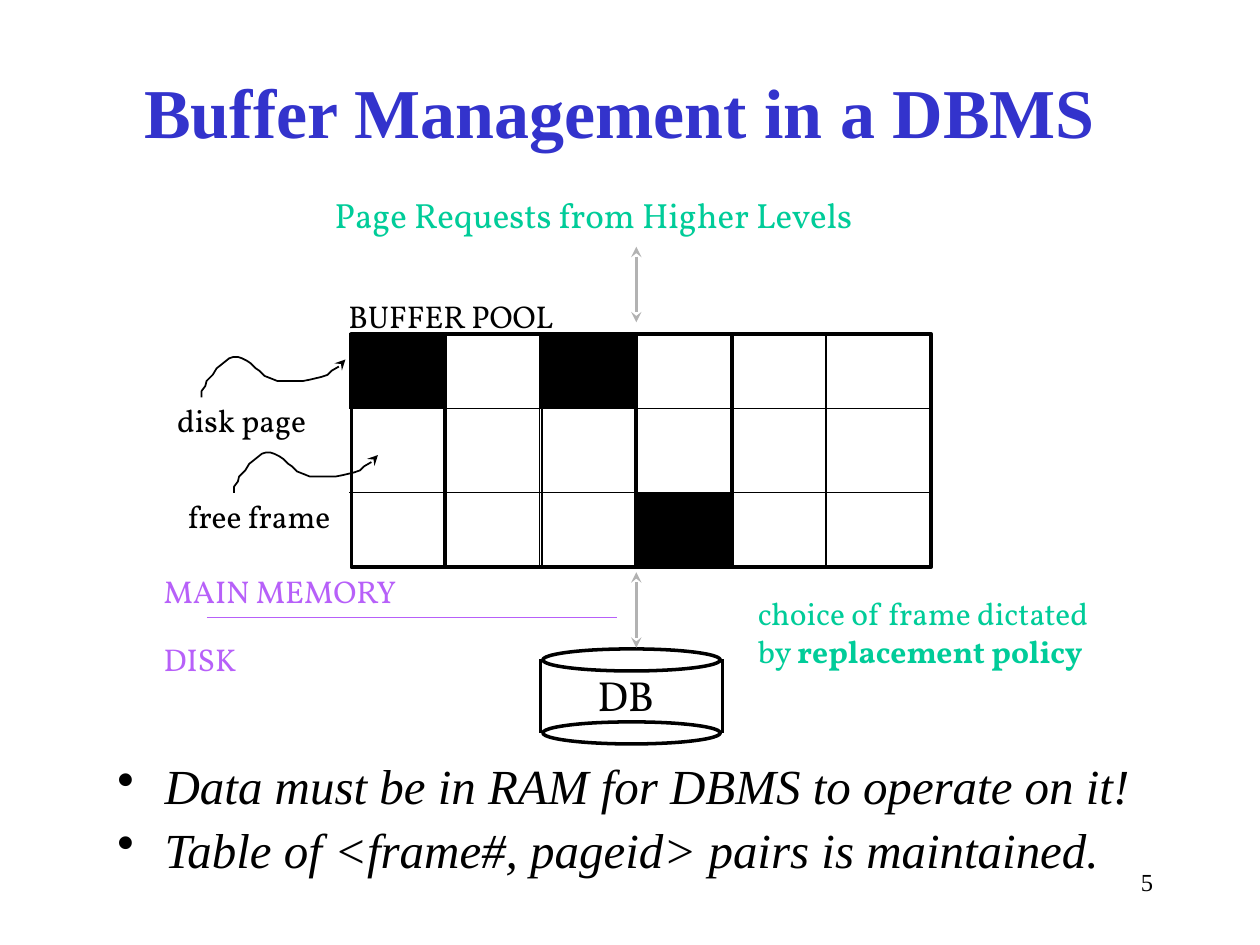
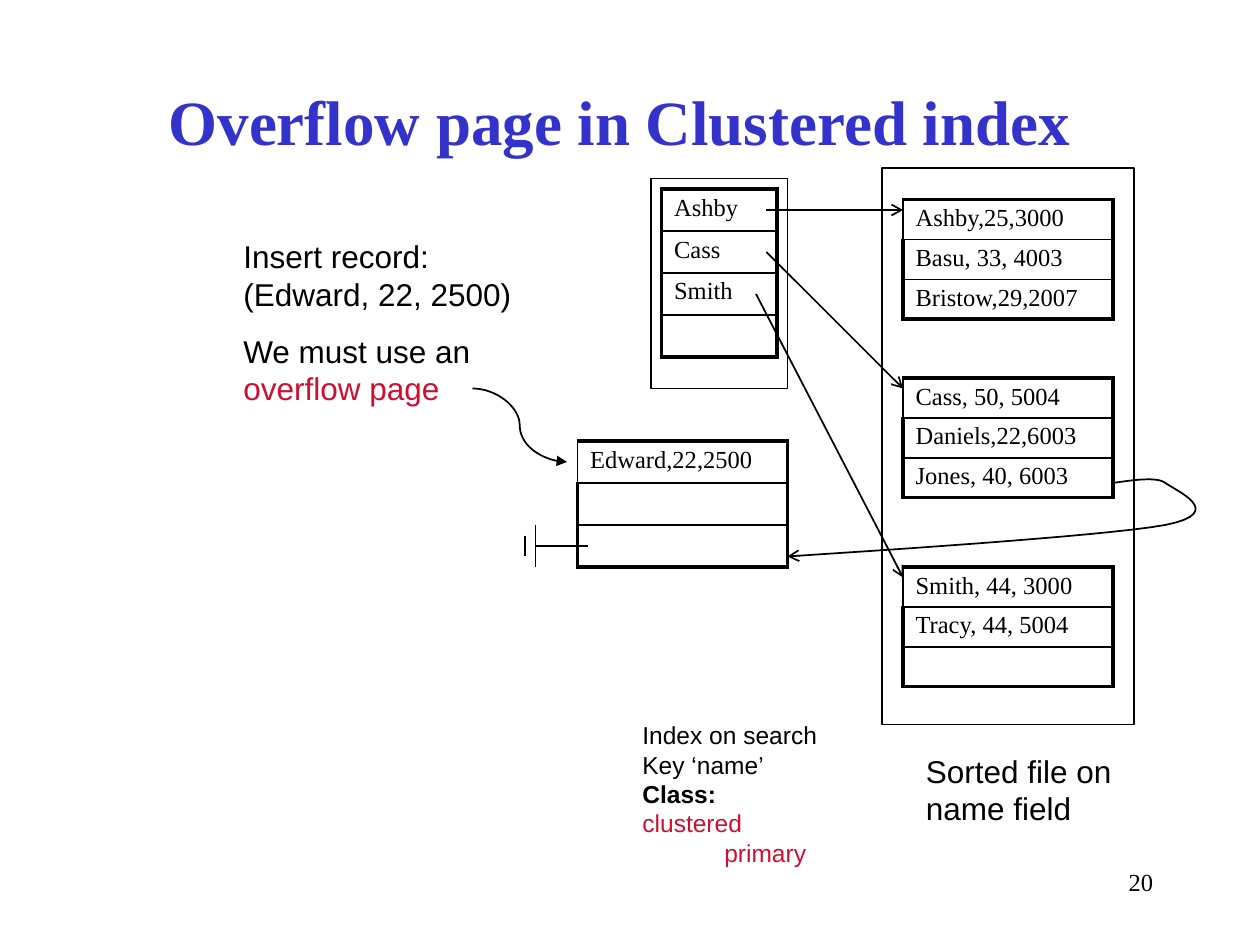
from dataclasses import dataclass
from typing import NamedTuple

from pptx import Presentation
from pptx.dml.color import RGBColor
from pptx.enum.shapes import MSO_CONNECTOR, MSO_SHAPE
from pptx.enum.text import MSO_ANCHOR, MSO_AUTO_SIZE, PP_ALIGN
from pptx.oxml.ns import qn
from pptx.oxml.xmlchemy import OxmlElement
from pptx.util import Emu, Inches, Pt

RECT, OVAL = MSO_SHAPE.RECTANGLE, MSO_SHAPE.OVAL
STRAIGHT, CURVE = MSO_CONNECTOR.STRAIGHT, MSO_CONNECTOR.CURVE
LEFT, CENTER, RIGHT = PP_ALIGN.LEFT, PP_ALIGN.CENTER, PP_ALIGN.RIGHT

COLORS = {"black": "000000", "title": "3333CC", "green": "00CC99",
          "purple": "B760F9", "gray": "B2B2B2", "red": "CF0E30"}
SERIF, SANS, DIAGRAM = "Times New Roman", "Arial", "Vollkorn"
COLS, ROWS = 120, 90  # slide grid, twelve units to the inch
THIN, THICK = 1, 2.25


class Run(NamedTuple):
    text: str
    color: str = ""
    bold: bool = False


class Box(NamedTuple):
    x: float
    y: float
    w: float
    h: float


@dataclass
class Label:
    box: Box
    lines: list[list[Run]]
    font: str = DIAGRAM
    size: int = 18
    color: str = "black"
    align: PP_ALIGN = LEFT
    italic: bool = False


@dataclass
class Page:
    box: Box  # h is the height of one row
    records: list[str]
    thin_corner: bool = True


def u(n: float) -> Emu:
    return Emu(round(n * Inches(1) / 12))


def rgb(name: str) -> RGBColor:
    return RGBColor.from_string(COLORS[name])


def place(sp, box: Box) -> None:
    sp.left, sp.top, sp.width, sp.height = map(u, box)


def add_run(p, run: Run, font: str, size: int, color: str, italic: bool = False) -> None:
    r = p.add_run()
    r.text = run.text
    r.font.name, r.font.size = font, Pt(size)
    r.font.bold, r.font.italic = run.bold, italic
    r.font.color.rgb = rgb(run.color or color)


def add_label(s, label: Label):
    tf = s.shapes.add_textbox(*map(u, label.box)).text_frame
    tf.word_wrap = True
    for i, line in enumerate(label.lines):
        p = tf.paragraphs[0] if i == 0 else tf.add_paragraph()
        p.alignment = label.align
        for run in line:
            add_run(p, run, label.font, label.size, label.color, label.italic)
    return tf


def indent(p, left: float, first: float = 0, bullet: str = ""):
    pPr = p._p.get_or_add_pPr()
    pPr.set("marL", str(u(left)))
    pPr.set("indent", str(u(first)))
    if bullet:
        pPr.append(OxmlElement("a:buChar"))
        pPr[-1].set("char", bullet)


def outline(sp, width: float = THIN, color: str = "black", head: str = "", tail: str = "") -> None:
    sp.line.width = Pt(width)
    sp.line.color.rgb = rgb(color)
    spPr = sp._element.spPr
    ln = spPr.find(qn("a:ln"))
    for tag, kind in (("a:headEnd", head), ("a:tailEnd", tail)):
        if kind:
            end = OxmlElement(tag)
            end.set("type", kind)
            ln.append(end)
    spPr.append(OxmlElement("a:effectLst"))


def add_outline(s, box: Box, width: float = THIN, kind: MSO_SHAPE = RECT) -> None:
    sp = s.shapes.add_shape(kind, *map(u, box))
    sp.fill.background()
    outline(sp, width)


def add_line(s, x1: float, y1: float, x2: float, y2: float, kind: MSO_CONNECTOR = STRAIGHT,
             **style) -> None:
    outline(s.shapes.add_connector(kind, u(x1), u(y1), u(x2), u(y2)), **style)


def add_path(s, points: list[tuple[float, float]], tail: str) -> None:
    pts = [(u(x), u(y)) for x, y in points]
    builder = s.shapes.build_freeform(*pts[0])
    builder.add_line_segments(pts[1:], close=False)
    sp = builder.convert_to_shape()
    sp.fill.background()
    outline(sp, tail=tail)


def bezier(start, c1, c2, end, steps: int = 16) -> list[tuple[float, float]]:
    ts = [i / steps for i in range(1, steps + 1)]
    return [tuple((1 - t) ** 3 * a + 3 * t * (1 - t) ** 2 * b + 3 * t * t * (1 - t) * c + t ** 3 * d
                  for a, b, c, d in zip(start, c1, c2, end)) for t in ts]


def border(cell, side: str, width: float) -> None:
    ln = OxmlElement(f"a:ln{side}")
    ln.set("w", str(Pt(width)))
    fill = OxmlElement("a:solidFill")
    fill.append(OxmlElement("a:srgbClr"))
    fill[0].set("val", COLORS["black"])
    ln.append(fill)
    cell._tc.get_or_add_tcPr().append(ln)


def add_page(s, page: Page) -> None:
    box, n = page.box, len(page.records)
    tbl = s.shapes.add_table(n, 1, u(box.x), u(box.y), u(box.w), u(box.h * n)).table
    tbl.first_row = tbl.horz_banding = False
    for i, record in enumerate(page.records):
        tbl.rows[i].height = u(box.h)
        cell = tbl.cell(i, 0)
        cell.margin_top = cell.margin_bottom = u(0.5)
        border(cell, "L", THIN if i == 0 and page.thin_corner else THICK)
        border(cell, "R", THICK)
        border(cell, "T", THICK if i == 0 else THIN)
        border(cell, "B", THICK if i == n - 1 else THIN)
        cell.fill.background()
        p = cell.text_frame.paragraphs[0]
        if record:
            add_run(p, Run(record), SERIF, 14, "black")
        else:  # keeps an empty row as low as the others
            end = OxmlElement("a:endParaRPr")
            end.set("sz", "1400")
            p._p.append(end)


def new_slide(prs, title: str, box: Box, size: int, number: str):
    s = prs.slides.add_slide(prs.slide_layouts[5])
    place(s.shapes.title, box)
    tf = s.shapes.title.text_frame
    tf.auto_size, tf.vertical_anchor = MSO_AUTO_SIZE.NONE, MSO_ANCHOR.MIDDLE
    p = tf.paragraphs[0]
    p.alignment = CENTER
    add_run(p, Run(title, bold=True), SERIF, size, "title")
    add_label(s, Label(Box(86, 82, 25, 6), [[Run(number)]], SERIF, 14, align=RIGHT))
    return s


def buffer_slide(prs) -> None:
    s = new_slide(prs, "Buffer Management in a DBMS", Box(8, 3, 102, 15), 40, "5")

    # Buffer pool
    left, right, pitch = 33.25, 88.8, 9.1
    row_edges = [31.7, 38.9, 46.9, 54.1]
    add_outline(s, Box(33.5, 31.8, 55.2, 22.2), 2)
    for col in range(5):
        add_outline(s, Box(left + 0.15 + col * pitch, row_edges[0], 8.9, 22.4))
    for y in row_edges[1:3]:
        add_line(s, left, y, right, y)
    for col, row in ((0, 0), (2, 0), (3, 2)):
        top, bottom = row_edges[row:row + 2]
        sp = s.shapes.add_shape(RECT, *map(u, (left + col * pitch, top, pitch, bottom - top)))
        sp.shadow.inherit = False
        sp.fill.solid()
        sp.fill.fore_color.rgb = rgb("black")
        sp.line.fill.background()

    # Database drum
    for y in (61.8, 68.75):
        add_outline(s, Box(51.7, y, 16.9, 2.1), 2, OVAL)
    for x in (51.5, 68.8):
        add_line(s, x, 62.8, x, 69.8, width=2)

    # Memory boundary and transfer arrows
    add_line(s, 19.7, 58.8, 58.8, 58.8, color="purple")
    for y in (23.5, 54.5):
        add_line(s, 60.6, y, 60.6, y + 7.2, width=2, color="gray", head="stealth", tail="stealth")

    # Wavy pointers
    wave = [(0, 3.84), (0, 3.24), (0.36, 2.76), (0.48, 2.28), (1.08, 1.68), (1.44, 1.08),
            (2.04, 0.6), (2.64, 0.12), (3, 0), (3.48, 0), (3.84, 0.12), (4.32, 0.36),
            (4.68, 0.6), (5.16, 1.08), (5.52, 1.32), (6, 1.8), (6.6, 2.04), (7.2, 2.28),
            (9.7, 2.28), (10.3, 2.16), (11.4, 1.9), (12, 1.7), (12.4, 1.3), (13.2, 0.84),
            (13.7, 0.24)]
    for x0, y0 in ((19.2, 34), (22.3, 43.1)):
        add_path(s, [(x0 + x, y0 + y) for x, y in wave], "stealth")

    # Labels
    for label in (
        Label(Box(55.7, 63.2, 8.5, 6), [[Run("DB")]], size=24),
        Label(Box(14.4, 53.9, 25.7, 4.8), [[Run("MAIN MEMORY")]], color="purple"),
        Label(Box(14.4, 60.4, 9.6, 4.8), [[Run("DISK")]], color="purple"),
        Label(Box(15.7, 37.6, 15.4, 4.8), [[Run("disk page")]]),
        Label(Box(16.7, 46.7, 16.2, 4.8), [[Run("free frame")]]),
        Label(Box(30.7, 17.8, 53.3, 5.2), [[Run("Page Requests from Higher Levels")]],
              size=20, color="green"),
        Label(Box(32, 27.7, 22.8, 4.8), [[Run("BUFFER POOL")]]),
        Label(Box(71, 56, 34.4, 8.4), [[Run("choice of frame dictated")],
              [Run("by "), Run("replacement policy", bold=True)]], color="green"),
    ):
        add_label(s, label)

    # Bullets
    tf = add_label(s, Label(Box(10, 72, 102, 8), [
        [Run("Data must be in RAM for DBMS to operate on it!")],
        [Run("Table of <frame#, pageid> pairs is maintained.")]], SERIF, 28, italic=True))
    for i, p in enumerate(tf.paragraphs):
        indent(p, 4.5, -4.5, "•")
        p.line_spacing = 0.9
        if i:
            p.space_before = Pt(6)


def overflow_slide(prs) -> None:
    s = new_slide(prs, "Overflow page in Clustered index", Box(12, 8, 94, 7), 36, "20")

    # Sorted file, index and overflow page
    for page in (
        Page(Box(86, 19, 20, 3.8), ["Ashby,25,3000", "Basu, 33, 4003", "Bristow,29,2007"]),
        Page(Box(86, 36, 20, 3.8), ["Cass, 50, 5004", "Daniels,22,6003", "Jones, 40, 6003"]),
        Page(Box(86, 54, 20, 3.8), ["Smith, 44, 3000", "Tracy, 44, 5004", ""]),
        Page(Box(63, 18, 11, 4), ["Ashby", "Cass", "Smith", ""], thin_corner=False),
        Page(Box(55, 42, 20, 4), ["Edward,22,2500", "", ""]),
    ):
        add_page(s, page)
    for frame in (Box(84, 16, 24, 53), Box(62, 17, 13, 20)):
        add_outline(s, frame)

    # Index pointers
    for x, y, target in ((73, 20, 20), (73, 24, 37), (72, 28, 55)):
        add_line(s, x, y, 86, target, tail="arrow")

    # Overflow pointers
    add_line(s, 45, 37, 54, 44, CURVE, tail="triangle")
    add_path(s, [(106, 46),
                 *bezier((106, 46), (108.1, 45.7), (110.2, 45.4), (111, 46)),
                 *bezier((111, 46), (111.9, 46.7), (117, 48.8), (111, 50)),
                 *bezier((111, 50), (105, 51.1), (81, 52.6), (75, 53))], "arrow")

    # End-of-chain mark
    for ends in ((56, 52, 51, 52), (51, 50, 51, 54), (50, 51, 50, 53)):
        add_line(s, *ends)

    # Notes
    for label in (
        Label(Box(22, 22, 29, 8.4), [[Run("Insert record:")], [Run("(Edward, 22, 2500)")]], SANS),
        Label(Box(22, 31, 25, 8.4), [[Run("We must use an")], [Run("overflow page", "red")]], SANS),
        Label(Box(87, 71, 21, 8.4), [[Run("Sorted file on")], [Run("name field")]], SANS),
    ):
        add_label(s, label)
    tf = add_label(s, Label(Box(60, 68, 20, 14.4), [
        [Run("Index on search")], [Run("Key ‘name’")], [Run("Class:", bold=True)],
        [Run("clustered", "red")], [Run("primary", "red")]], SANS, 14))
    indent(tf.paragraphs[-1], 7.8)


def main() -> None:
    prs = Presentation()
    prs.slide_width, prs.slide_height = u(COLS), u(ROWS)
    buffer_slide(prs)
    overflow_slide(prs)
    prs.save("out.pptx")


if __name__ == "__main__":
    main()
